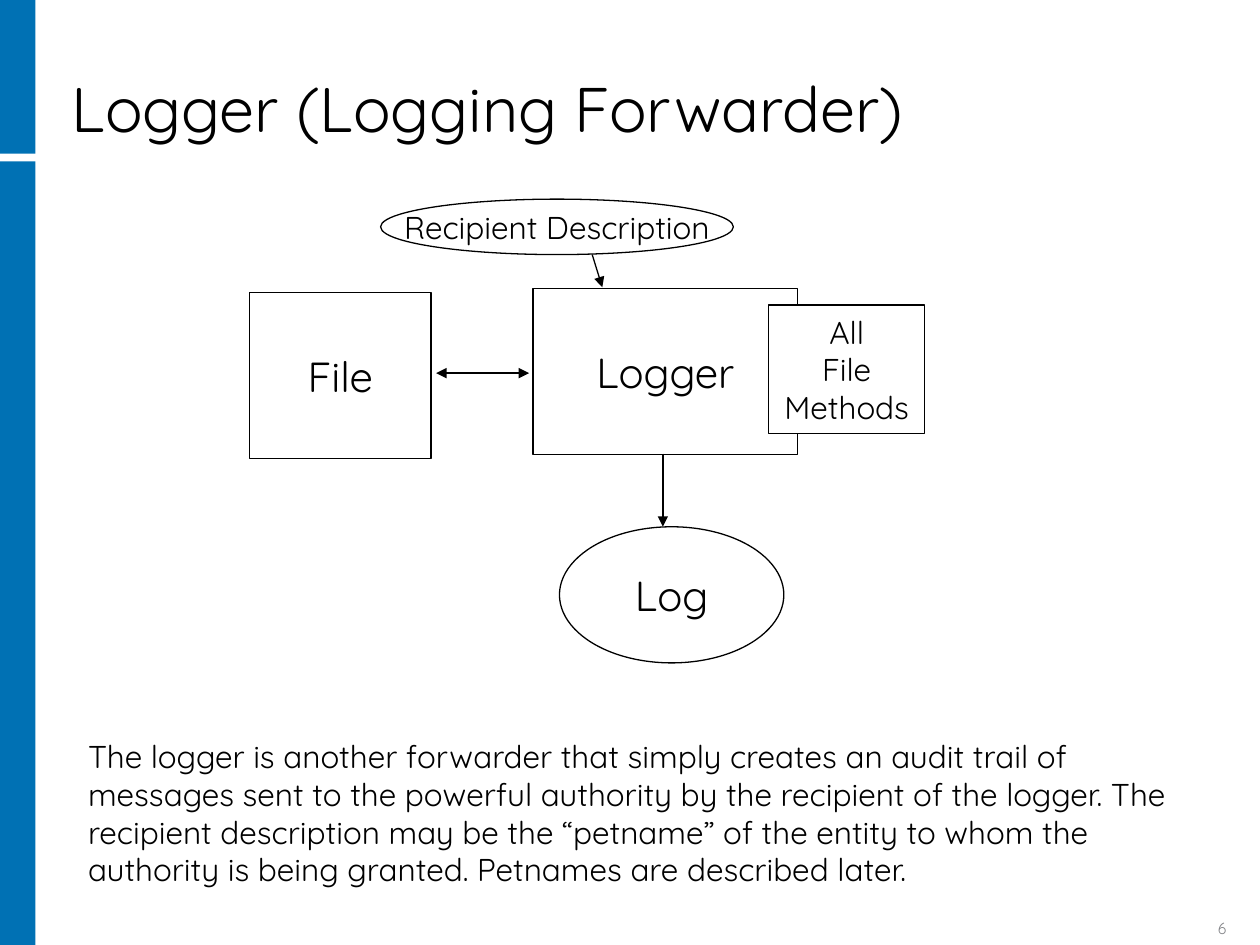
from dataclasses import dataclass

from lxml import etree
from pptx import Presentation
from pptx.dml.color import RGBColor
from pptx.enum.shapes import MSO_CONNECTOR, MSO_SHAPE
from pptx.enum.text import MSO_ANCHOR, MSO_AUTO_SIZE, PP_ALIGN
from pptx.oxml.ns import qn
from pptx.util import Pt

RECT, OVAL = MSO_SHAPE.RECTANGLE, MSO_SHAPE.OVAL
STRAIGHT = MSO_CONNECTOR.STRAIGHT
TOP, MIDDLE, BOTTOM = MSO_ANCHOR.TOP, MSO_ANCHOR.MIDDLE, MSO_ANCHOR.BOTTOM
LEFT, CENTER, RIGHT = PP_ALIGN.LEFT, PP_ALIGN.CENTER, PP_ALIGN.RIGHT
NO_FIT, GROW = MSO_AUTO_SIZE.NONE, MSO_AUTO_SIZE.SHAPE_TO_FIT_TEXT


@dataclass(frozen=True)
class Theme:
    """Colours, font and type sizes of the slide."""
    font: str = "Quicksand"
    ink: RGBColor = RGBColor(0, 0, 0)
    paper: RGBColor = RGBColor(255, 255, 255)
    accent: RGBColor = RGBColor(0, 0x71, 0xB4)
    muted: RGBColor = RGBColor(0x84, 0x85, 0x89)
    title: float = 36
    node: float = 24
    text: float = 18
    number: float = 9
    line: float = 0.75


THEME = Theme()


def apply(obj, fmt):
    """Set every attribute named in fmt on obj."""
    for name, value in fmt.items():
        setattr(obj, name, value)


def write(sp, text, size, color=THEME.ink, frame=None, para=None):
    """Fill a shape with text, one paragraph per line."""
    tf = sp.text_frame
    apply(tf, {"word_wrap": True, "auto_size": NO_FIT, "vertical_anchor": TOP} | (frame or {}))
    tf.text = text
    for p in tf.paragraphs:
        apply(p, {"alignment": LEFT} | (para or {}))
        for r in p.runs:
            apply(r.font, {"name": THEME.font, "size": Pt(size)})
            r.font.color.rgb = color


def add_shape(slide, kind, box, fill, line=None):
    """Add a flat preset shape with an optional outline."""
    sp = slide.shapes.add_shape(kind, *map(Pt, box))
    sp.shadow.inherit = False
    sp.fill.solid()
    sp.fill.fore_color.rgb = fill
    if line is None:
        sp.line.fill.background()
    else:
        sp.line.color.rgb = line
        sp.line.width = Pt(THEME.line)
    return sp


def add_arrow(slide, start, end, ends=("tailEnd",)):
    """Add a straight connector with triangle heads at the named ends."""
    cx = slide.shapes.add_connector(STRAIGHT, *map(Pt, start + end))
    cx.line.color.rgb = THEME.ink
    cx.line.width = Pt(THEME.line)
    ln = cx.line._get_or_add_ln()
    for name in ends:
        etree.SubElement(ln, qn(f"a:{name}"), type="triangle")
    etree.SubElement(cx._element.spPr, qn("a:effectLst"))


def add_sidebar(slide, box):
    """Draw the accent bar, split by a gap near its top."""
    x, y, w, h = box
    head, gap = 87.8, 4.4
    for top, height in ((y, head), (y + head + gap, h - head - gap)):
        add_shape(slide, RECT, (x, top, w, height), THEME.accent)


def add_title(slide, box, text):
    """Move and format the title placeholder."""
    sp = slide.shapes.title
    apply(sp, dict(zip(("left", "top", "width", "height"), map(Pt, box))))
    write(sp, text, THEME.title, frame={"vertical_anchor": BOTTOM},
          para={"line_spacing": 0.9})


def add_diagram(slide, box):
    """Draw the forwarder diagram from the top left corner of the box."""
    x, y = box[:2]
    nodes = (
        (RECT, (0, 53.3, 103.7, 95), "File", THEME.node),
        (RECT, (162, 51.1, 151.2, 95), "Logger", THEME.node),
        (OVAL, (177.1, 187.2, 128.2, 77.8), "Log", THEME.node),
        (RECT, (296.6, 60.5, 89.3, 73.4), "All\nFile\nMethods", THEME.text),
        (OVAL, (74.9, 0, 201.6, 31.7), "Recipient Description", THEME.text),
    )
    for kind, (dx, dy, w, h), text, size in nodes:
        sp = add_shape(slide, kind, (x + dx, y + dy, w, h), THEME.paper, THEME.ink)
        write(sp, text, size, frame={"word_wrap": False, "vertical_anchor": MIDDLE},
              para={"alignment": CENTER})
    arrows = (
        ((159.8, 99.4), (106.6, 99.4), ("headEnd", "tailEnd")),
        ((236.2, 145.4), (236.2, 187.2), ("tailEnd",)),
        ((195.8, 31.7), (201.6, 50.4), ("tailEnd",)),
    )
    for (x1, y1), (x2, y2), ends in arrows:
        add_arrow(slide, (x + x1, y + y1), (x + x2, y + y2), ends)


def add_text(slide, box, text, size, **fmt):
    """Add a wrapped text box."""
    write(slide.shapes.add_textbox(*map(Pt, box)), text, size, **fmt)


def main():
    """Build and save the slide."""
    prs = Presentation()
    apply(prs, {"slide_width": Pt(720), "slide_height": Pt(540)})
    slide = prs.slides.add_slide(prs.slide_layouts[5])
    add_sidebar(slide, (0, 0, 20.2, 540))
    add_title(slide, (33.8, 8.6, 600.5, 78.5), "Logger (Logging Forwarder)")
    add_diagram(slide, (142.6, 113.8, 385.9, 265))
    add_text(slide, (43.2, 417.6, 658, 93.6),
             "The logger is another forwarder that simply creates an audit trail of "
             "messages sent to the powerful authority by the recipient of the logger. "
             "The recipient description may be the “petname” of the entity to whom the "
             "authority is being granted. Petnames are described later.",
             THEME.text, frame={"auto_size": GROW}, para={"space_before": Pt(11.2)})
    add_text(slide, (648, 522, 59.8, 17.3), "6", THEME.number, color=THEME.muted,
             frame={"vertical_anchor": BOTTOM}, para={"alignment": RIGHT})
    prs.save("out.pptx")


if __name__ == "__main__":
    main()
